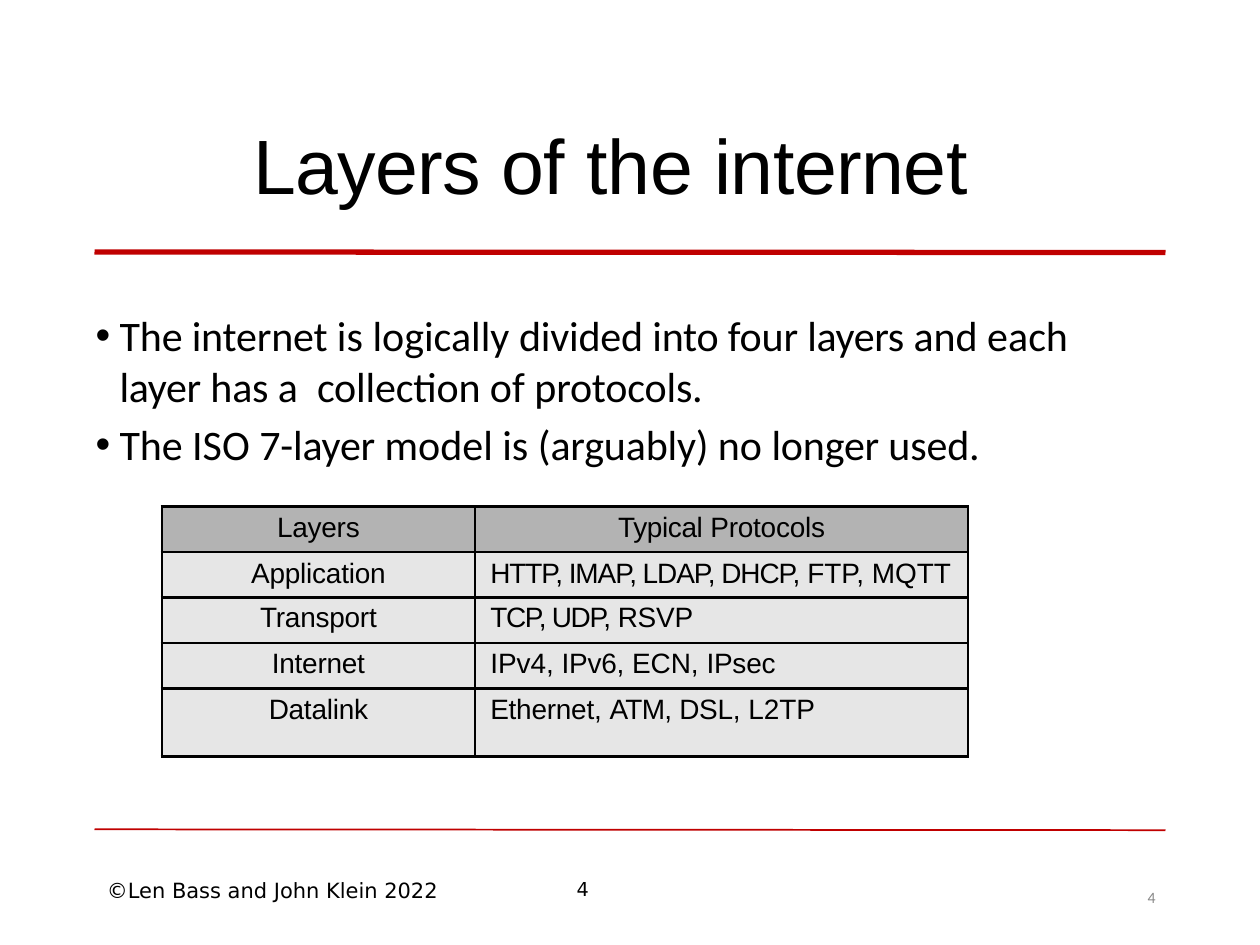
from lxml.etree import SubElement
from pptx import Presentation
from pptx.dml.color import RGBColor
from pptx.enum.shapes import MSO_CONNECTOR
from pptx.enum.text import MSO_ANCHOR, PP_ALIGN
from pptx.oxml.ns import qn
from pptx.util import Pt

BLACK = RGBColor(0x00, 0x00, 0x00)
RED = RGBColor(0xC0, 0x00, 0x00)
GRAY = RGBColor(0x88, 0x88, 0x88)
HEADER_FILL = RGBColor(0xB3, 0xB3, 0xB3)
BODY_FILL = RGBColor(0xE6, 0xE6, 0xE6)
LEFT, CENTER = PP_ALIGN.LEFT, PP_ALIGN.CENTER


def add_box(s, left, top, width, height, insets=(0, 0, 0, 0)):
    tf = s.shapes.add_textbox(Pt(left), Pt(top), Pt(width), Pt(height)).text_frame
    tf.word_wrap = True
    tf.margin_left, tf.margin_top, tf.margin_right, tf.margin_bottom = map(Pt, insets)
    return tf


def write(p, runs, font, size, color=BLACK, align=LEFT, before=0, margin=0, indent=0):
    """Fill a paragraph with (text, letter spacing in points) runs."""
    p.alignment = align
    p.space_before = Pt(before)
    pPr = p._p.get_or_add_pPr()
    pPr.set("marL", str(Pt(margin)))
    pPr.set("indent", str(Pt(indent)))
    for text, spacing in runs:
        r = p.add_run()
        r.text = text
        r.font.name, r.font.size = font, Pt(size)
        r.font.color.rgb = color
        r._r.get_or_add_rPr().set("spc", str(round(spacing * 100)))


prs = Presentation()
prs.slide_width, prs.slide_height = Pt(720), Pt(540)
s = prs.slides.add_slide(prs.slide_layouts[6])

# Rules above and below the content
for y1, y2, weight in [(144, 144.3, 3), (473.9, 474.4, 1)]:
    rule = s.shapes.add_connector(MSO_CONNECTOR.STRAIGHT, Pt(54), Pt(y1), Pt(666), Pt(y2))
    rule.line.color.rgb = RED
    rule.line.width = Pt(weight)
    SubElement(rule._element.spPr, qn("a:effectLst"))

# Footer
footer_insets = (7.2, 3.6, 7.2, 3.6)
tf = add_box(s, 288, 498, 90, 21, footer_insets)
write(tf.paragraphs[0], [("4", 0)], "DejaVu Sans", 11, align=CENTER)
tf = add_box(s, 54, 498, 360, 21.8, footer_insets)
write(tf.paragraphs[0], [("©Len Bass and John Klein 2022", 0)], "DejaVu Sans", 12)
tf = add_box(s, 653.8, 509, 13.7, 9.4)
tf.paragraphs[0].line_spacing = Pt(9.3)
write(tf.paragraphs[0], [("4", 0)], "Calibri", 9, GRAY, margin=2)

# Title
tf = add_box(s, 131.8, 66.2, 433.4, 54, (0, 0.9, 0, 0))
tf.vertical_anchor = MSO_ANCHOR.MIDDLE
write(tf.paragraphs[0], [("Layers ", -0.5), ("of the ", -0.1), ("internet", -0.3)],
      "Arial", 44, align=CENTER, before=0.8, margin=0.9)

# Bullets
bullets = [
    (3.6, [("The internet ", -0.1), ("is logically ", 0), ("divided into four ", -0.1),
           ("layers ", -0.2), ("and each ", 0), ("layer ", -0.2), ("has ", -0.1),
           ("a  ", 0), ("collection ", -0.1), ("of ", 0), ("protocols.", -0.1)]),
    (4.8, [("The", -0.1), (" ISO ", 0), ("7-layer ", -0.1), ("model is ", 0),
           ("(arguably) ", -0.1), ("no ", 0), ("longer used.", -0.1)]),
]
tf = add_box(s, 54, 173.5, 588.2, 95.8, (0, 3.6, 0, 0))
for i, (before, runs) in enumerate(bullets):
    p = tf.add_paragraph() if i else tf.paragraphs[0]
    write(p, runs, "Calibri", 24, before=before, margin=14.4, indent=-13.7)
    pPr = p._p.get_or_add_pPr()
    SubElement(pPr, qn("a:buFont"), typeface="Arial")
    SubElement(pPr, qn("a:buChar"), char="•")

# Table: row height, top inset, space before, layer runs, protocol runs
rows = [
    (26, 3.6, 4.7, [("Layers", -0.1)], [("Typical ", -0.2), ("Protocols", -0.1)]),
    (26, 3.6, 5, [("Application", -0.1)],
     [("HTTP, IMAP, LDAP, DHCP, ", -0.6), ("FTP, MQTT", 0)]),
    (26, 2.9, 4, [("Transport", -0.1)], [("TCP, UDP, ", -0.7), ("RSVP", -0.1)]),
    (26, 2.9, 4.2, [("Internet", -0.1)],
     [("IPv4, ", 0), ("IPv6, ", -0.1), ("ECN, ", 0), ("IPsec", -0.1)]),
    (38.9, 3.6, 4.4, [("Datalink", -0.1)],
     [("Ethernet, ", -0.1), ("ATM, ", -0.4), ("DSL, ", -0.1), ("L2TP", 0)]),
]
table = s.shapes.add_table(len(rows), 2, Pt(92.4), Pt(289.4), Pt(460.8), Pt(142.9)).table
table.columns[0].width, table.columns[1].width = Pt(179.2), Pt(281.6)
for i, (height, top, before, *texts) in enumerate(rows):
    table.rows[i].height = Pt(height)
    for j, runs in enumerate(texts):
        cell = table.cell(i, j)
        cell.margin_left = cell.margin_right = cell.margin_bottom = 0
        cell.margin_top = Pt(top)
        centered = i == 0 or j == 0
        write(cell.text_frame.paragraphs[0], runs, "Arial", 16,
              align=CENTER if centered else LEFT, before=before,
              margin=0 if centered else 8.6)
        tcPr = cell._tc.get_or_add_tcPr()
        for side in ("lnL", "lnR", "lnT", "lnB"):
            border = SubElement(tcPr, qn(f"a:{side}"), w=str(Pt(1.5)))
            fill = SubElement(border, qn("a:solidFill"))
            SubElement(fill, qn("a:srgbClr"), val=str(BLACK))
        cell.fill.solid()
        cell.fill.fore_color.rgb = BODY_FILL if i else HEADER_FILL

prs.save("out.pptx")
